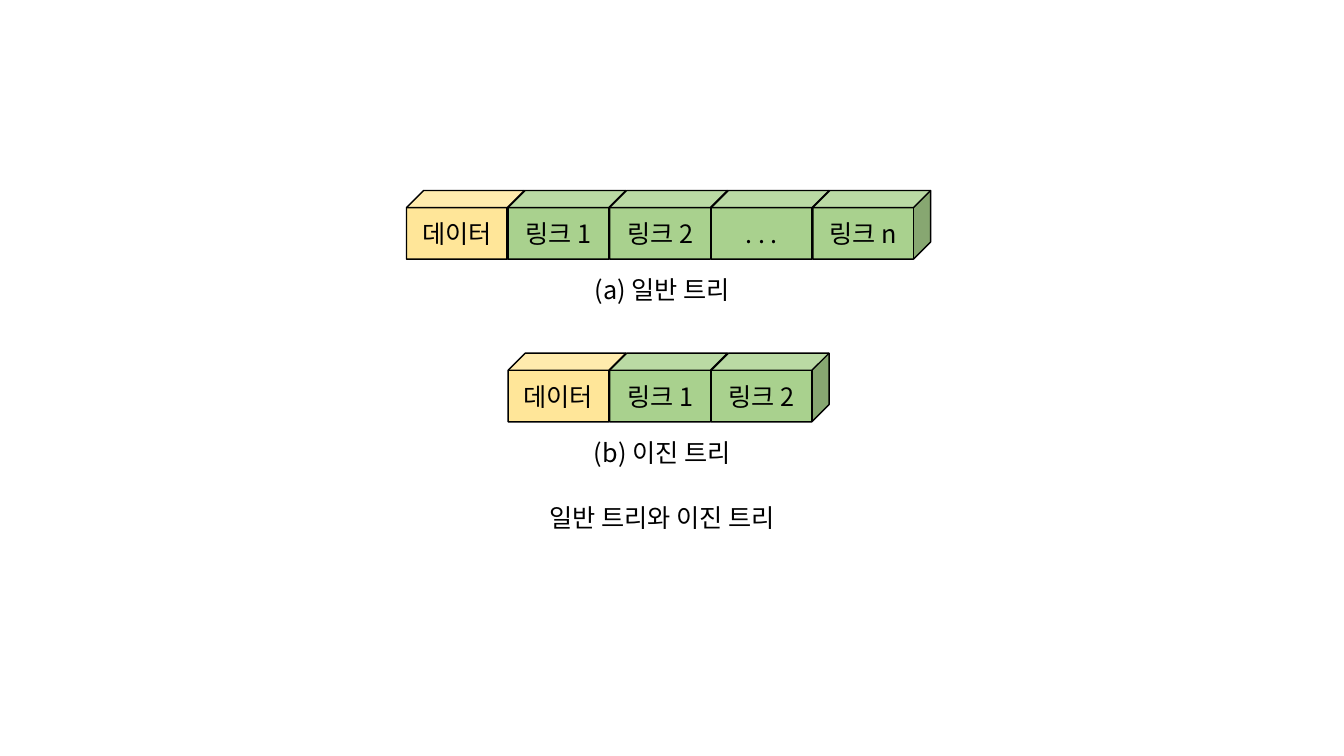
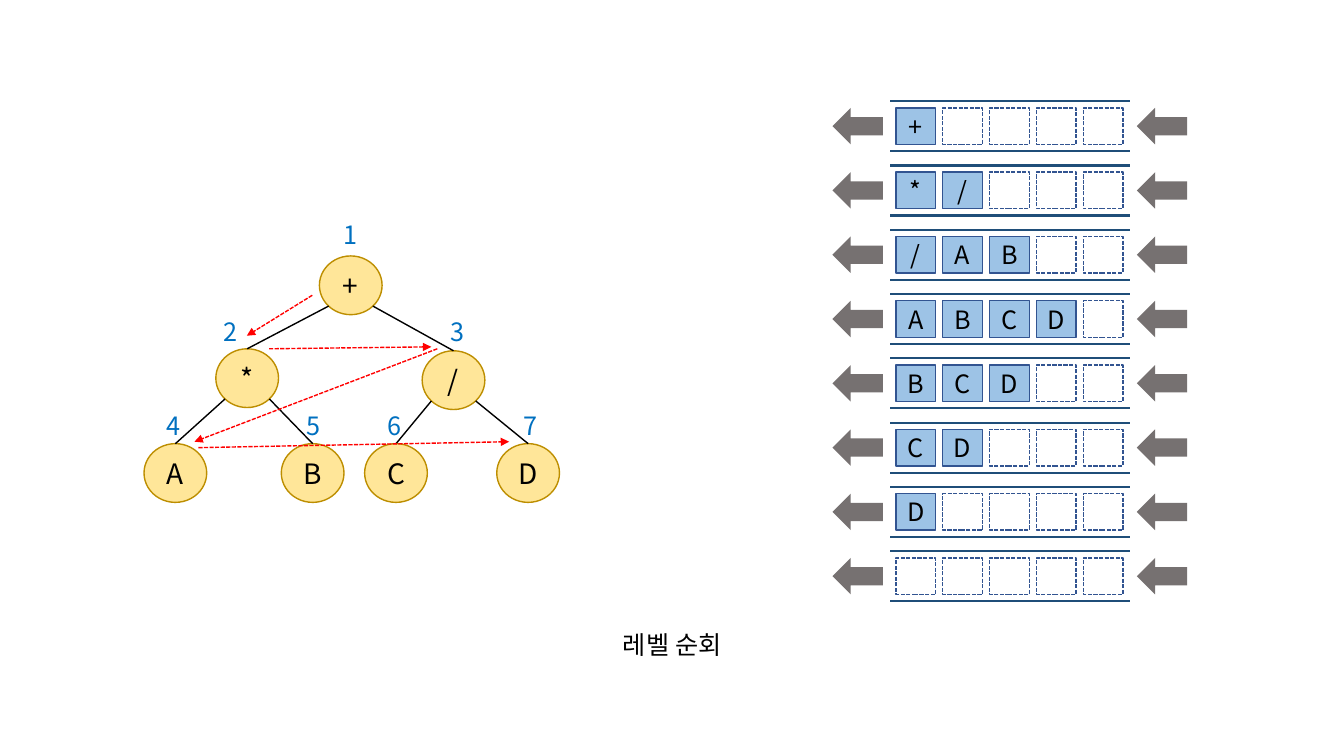
from dataclasses import dataclass
from math import sqrt
from typing import Optional

from lxml.etree import SubElement
from pptx import Presentation
from pptx.dml.color import RGBColor
from pptx.enum.dml import MSO_LINE
from pptx.enum.shapes import MSO_CONNECTOR, MSO_SHAPE
from pptx.enum.text import MSO_ANCHOR as Anchor, MSO_AUTO_SIZE as AutoSize, PP_ALIGN as Align
from pptx.oxml.ns import qn
from pptx.shapes.autoshape import Shape
from pptx.shapes.connector import Connector
from pptx.slide import Slide
from pptx.text.text import TextFrame
from pptx.util import Cm, Pt


# Shared look
@dataclass(frozen=True)
class Theme:
    font: str = "Noto Sans CJK KR"
    text_size: float = 18
    node_size: float = 20
    thin: float = 1
    rail: float = 1.5
    ink: str = "000000"
    data: str = "FFE699"
    link: str = "A9D18E"
    node_line: str = "BD8E00"
    order: str = "0070C0"
    visit: str = "FF0000"
    queue_rail: str = "1F4E79"
    cell: str = "9DC3E6"
    cell_line: str = "325491"
    flow: str = "767171"


THEME = Theme()
TEXT_HEIGHT = 1.02


# Lengths in all records are centimetres
@dataclass(frozen=True)
class Frame:
    left: float
    top: float
    width: float
    height: float


@dataclass(frozen=True)
class Point:
    x: float
    y: float


@dataclass(frozen=True)
class Record:
    top: float
    labels: tuple[str, ...]
    caption: str


@dataclass(frozen=True)
class Node:
    text: str
    left: float
    top: float
    order: str
    order_left: float
    order_top: float
    parent: Optional[str] = None
    side: int = 0


# Drawing helpers
def rgb(value: str) -> RGBColor:
    return RGBColor.from_string(value)


def write(frame: TextFrame, text: str, size: float, color: str) -> None:
    para = frame.paragraphs[0]
    para.alignment = Align.CENTER
    span = para.add_run()
    span.text = text
    span.font.size = Pt(size)
    span.font.color.rgb = rgb(color)
    span.font.name = THEME.font
    SubElement(span.font._element, qn("a:ea")).set("typeface", THEME.font)


def add_box(page: Slide, kind: MSO_SHAPE, at: Frame, fill: Optional[str] = None,
            line: Optional[str] = None, dashed: bool = False, text: str = "",
            size: float = THEME.text_size) -> Shape:
    box = page.shapes.add_shape(kind, Cm(at.left), Cm(at.top), Cm(at.width), Cm(at.height))
    box.shadow.inherit = False
    if fill:
        box.fill.solid()
        box.fill.fore_color.rgb = rgb(fill)
    else:
        box.fill.background()
    if line:
        box.line.color.rgb = rgb(line)
        box.line.width = Pt(THEME.thin)
        if dashed:
            box.line.dash_style = MSO_LINE.SQUARE_DOT
    else:
        box.line.fill.background()
    if text:
        frame = box.text_frame
        frame.margin_left = frame.margin_right = 0
        frame.vertical_anchor = Anchor.MIDDLE
        write(frame, text, size, THEME.ink)
    return box


def add_label(page: Slide, text: str, left: float, top: float, width: float,
              color: str = THEME.ink) -> None:
    box = page.shapes.add_textbox(Cm(left), Cm(top), Cm(width), Cm(TEXT_HEIGHT))
    box.text_frame.word_wrap = True
    box.text_frame.auto_size = AutoSize.SHAPE_TO_FIT_TEXT
    write(box.text_frame, text, THEME.text_size, color)


def add_line(page: Slide, start: Point, end: Point, color: str, width: float = THEME.thin,
             arrow: bool = False) -> Connector:
    line = page.shapes.add_connector(MSO_CONNECTOR.STRAIGHT, Cm(start.x), Cm(start.y),
                                     Cm(end.x), Cm(end.y))
    line.line.color.rgb = rgb(color)
    line.line.width = Pt(width)
    properties = line._element.spPr
    if arrow:
        line.line.dash_style = MSO_LINE.SQUARE_DOT
        SubElement(properties.find(qn("a:ln")), qn("a:tailEnd")).set("type", "triangle")
    SubElement(properties, qn("a:effectLst"))
    return line


def add_page(deck: Presentation, title: str, at: Frame) -> Slide:
    page = deck.slides.add_slide(deck.slide_layouts.get_by_name("Title Only"))
    box = page.shapes.title
    box.left, box.top = Cm(at.left), Cm(at.top)
    box.width, box.height = Cm(at.width), Cm(at.height)
    box.text_frame.vertical_anchor = Anchor.TOP
    box.text_frame.auto_size = AutoSize.SHAPE_TO_FIT_TEXT
    write(box.text_frame, title, THEME.text_size, THEME.ink)
    return page


# Slide 1: node records as rows of cubes
CUBE_WIDTH, CUBE_HEIGHT, CUBE_PITCH = 2.97, 1.73, 2.56
ROW_CENTER, CAPTION_LEFT, CAPTION_WIDTH, CAPTION_DROP = 16.85, 14.33, 4.72, 1.99
RECORDS = (
    Record(4.8, ("데이터", "링크 1", "링크 2", ". . .", "링크 n"), "(a) 일반 트리"),
    Record(8.9, ("데이터", "링크 1", "링크 2"), "(b) 이진 트리"),
)


def draw_record(page: Slide, record: Record) -> None:
    row_width = CUBE_PITCH * (len(record.labels) - 1) + CUBE_WIDTH
    left = ROW_CENTER - row_width / 2
    for index, label in enumerate(record.labels):
        at = Frame(left + index * CUBE_PITCH, record.top, CUBE_WIDTH, CUBE_HEIGHT)
        fill = THEME.link if index else THEME.data
        add_box(page, MSO_SHAPE.CUBE, at, fill, THEME.ink, text=label)
    add_label(page, record.caption, CAPTION_LEFT, record.top + CAPTION_DROP, CAPTION_WIDTH)


# Slide 2, left: expression tree in visiting order
NODE_WIDTH, NODE_HEIGHT, ORDER_WIDTH = 1.58, 1.48, 1.12
LEFT, RIGHT = -1, 1
NODES = (
    Node("+", 8.05, 6.45, "1", 8.28, 5.41),
    Node("*", 5.44, 8.79, "2", 5.26, 7.85, "+", LEFT),
    Node("/", 10.64, 8.84, "3", 10.97, 7.85, "+", RIGHT),
    Node("A", 3.63, 11.18, "4", 3.81, 10.21, "*", LEFT),
    Node("B", 7.09, 11.18, "5", 7.34, 10.21, "*", RIGHT),
    Node("C", 9.19, 11.18, "6", 9.37, 10.21, "/", LEFT),
    Node("D", 12.52, 11.18, "7", 12.8, 10.21, "/", RIGHT),
)
VISITS = (
    (Point(7.87, 7.44), Point(6.22, 8.46)),
    (Point(6.78, 8.79), Point(10.87, 8.74)),
    (Point(11.02, 8.79), Point(4.9, 11.13)),
    (Point(5, 11.28), Point(12.83, 11.13)),
)


def draw_tree(page: Slide) -> None:
    by_text = {node.text: node for node in NODES}
    for node in NODES:
        circle = add_box(page, MSO_SHAPE.FLOWCHART_CONNECTOR,
                         Frame(node.left, node.top, NODE_WIDTH, NODE_HEIGHT),
                         THEME.data, THEME.node_line, text=node.text, size=THEME.node_size)
        if node.parent:
            # Edges leave the parent at 45 degrees and meet the child's top
            parent = by_text[node.parent]
            start = Point(parent.left + NODE_WIDTH / 2 * (1 + node.side / sqrt(2)),
                          parent.top + NODE_HEIGHT / 2 * (1 + 1 / sqrt(2)))
            edge = add_line(page, start, Point(node.left + NODE_WIDTH / 2, node.top), THEME.ink)
            edge.end_connect(circle, 0)
    for start, end in VISITS:
        add_line(page, start, end, THEME.visit, arrow=True)
    for node in NODES:
        add_label(page, node.order, node.order_left, node.order_top, ORDER_WIDTH, THEME.order)


# Slide 2, right: queue contents after each step
QUEUES = ("+", "*/", "/AB", "ABCD", "BCD", "CD", "D", "")
QUEUE_TOP, QUEUE_PITCH, QUEUE_HEIGHT = 2.55, 1.62, 1.26
RAIL_LEFT, RAIL_RIGHT = 22.43, 28.47
SLOTS, SLOT_LEFT, SLOT_PITCH, SLOT_WIDTH, SLOT_HEIGHT = 5, 22.58, 1.18, 1, 0.92
FLOW_WIDTH, FLOW_LEFTS = 1.27, (20.98, 28.65)


def draw_queue(page: Slide, items: str, top: float) -> None:
    for y in (top, top + QUEUE_HEIGHT):
        add_line(page, Point(RAIL_LEFT, y), Point(RAIL_RIGHT, y), THEME.queue_rail, THEME.rail)
    slot_top = top + (QUEUE_HEIGHT - SLOT_HEIGHT) / 2
    for index, item in enumerate(items.ljust(SLOTS)):
        text = item.strip()
        at = Frame(SLOT_LEFT + index * SLOT_PITCH, slot_top, SLOT_WIDTH, SLOT_HEIGHT)
        add_box(page, MSO_SHAPE.RECTANGLE, at, THEME.cell if text else None,
                THEME.cell_line, dashed=not text, text=text)
    for left in FLOW_LEFTS:
        add_box(page, MSO_SHAPE.LEFT_ARROW, Frame(left, slot_top, FLOW_WIDTH, SLOT_HEIGHT),
                THEME.flow)


def main() -> None:
    deck = Presentation()
    deck.slide_width, deck.slide_height = Cm(33.87), Cm(19.05)

    records_page = add_page(deck, "일반 트리와 이진 트리", Frame(12.47, 12.52, 8.43, TEXT_HEIGHT))
    for record in RECORDS:
        draw_record(records_page, record)

    traversal_page = add_page(deck, "레벨 순회", Frame(13.79, 15.72, 6.3, TEXT_HEIGHT))
    draw_tree(traversal_page)
    for step, items in enumerate(QUEUES):
        draw_queue(traversal_page, items, QUEUE_TOP + step * QUEUE_PITCH)

    deck.save("out.pptx")


main()
